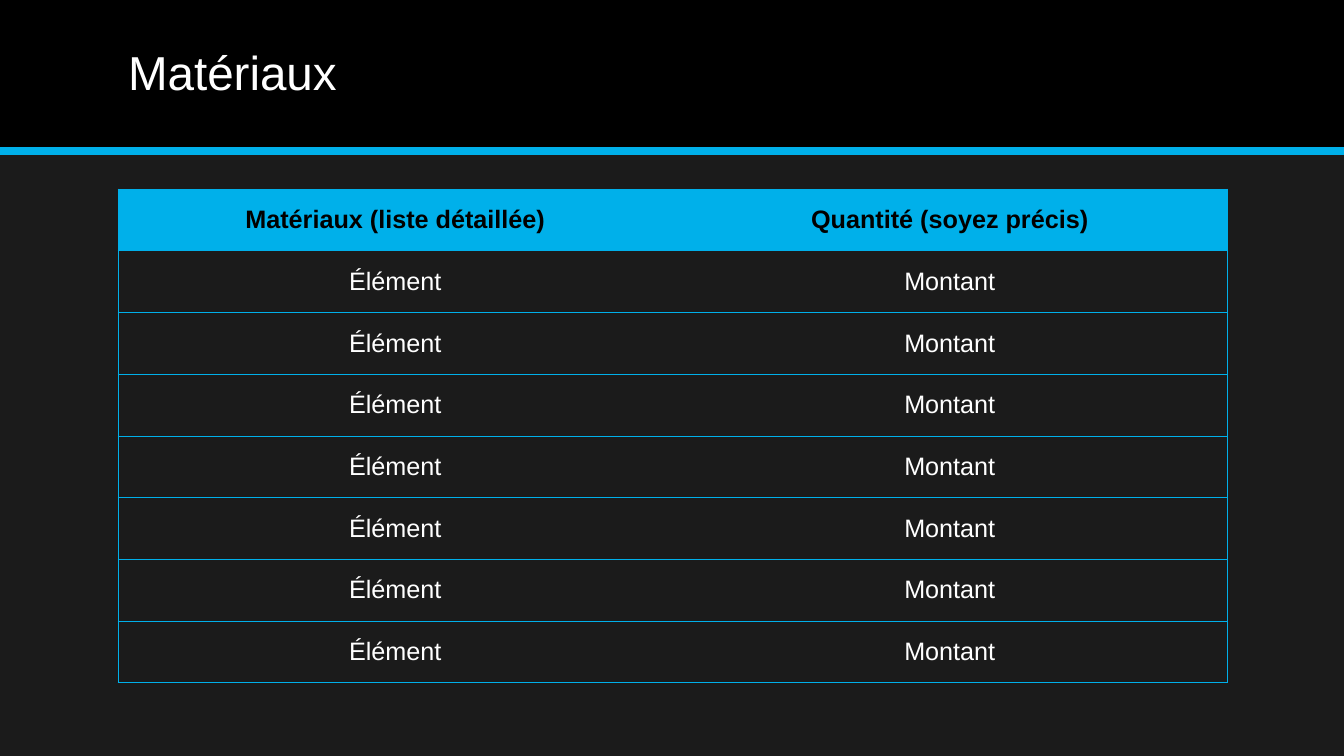
from dataclasses import dataclass

from lxml import etree
from pptx import Presentation
from pptx import util as u
from pptx.dml.color import RGBColor
from pptx.enum import shapes, text
from pptx.oxml.ns import qn


@dataclass(frozen=True)
class Theme:
    background: str = "1B1B1B"
    band: str = "000000"
    accent: str = "00B0EA"
    light: str = "FFFFFF"
    dark: str = "000000"
    font: str = "Arial"
    title_size: int = 34
    table_size: int = 18
    rule_width: float = 6
    border_width: float = 0.5


@dataclass(frozen=True)
class Box:
    left: float
    top: float
    width: float
    height: float

    def lengths(self):
        return [u.Inches(n) for n in (self.left, self.top, self.width, self.height)]


THEME = Theme()
WIDTH, HEIGHT = 13.33, 7.5
MARGIN = 1.17
CONTENT_WIDTH = 11
HEADINGS = ("Matériaux (liste détaillée)", "Quantité (soyez précis)")
ROWS = [HEADINGS] + [("Élément", "Montant")] * 7


def color(value):
    return RGBColor.from_string(value)


def format_text(frame, size, ink, bold, alignment):
    for paragraph in frame.paragraphs:
        paragraph.alignment = alignment
        for run in paragraph.runs:
            run.font.name = THEME.font
            run.font.size = u.Pt(size)
            run.font.bold = bold
            run.font.color.rgb = color(ink)


def add_header(slide, box):
    # Dark band, placed behind the title
    title = slide.shapes.title
    band = slide.shapes.add_shape(shapes.MSO_SHAPE.RECTANGLE, *box.lengths())
    band.shadow.inherit = False
    band.fill.solid()
    band.fill.fore_color.rgb = color(THEME.band)
    band.line.fill.background()
    title.element.addprevious(band.element)

    # Accent rule along the lower edge
    left, top, width, height = box.lengths()
    rule = slide.shapes.add_connector(
        shapes.MSO_CONNECTOR.STRAIGHT, left, top + height, left + width, top + height)
    rule.line.color.rgb = color(THEME.accent)
    rule.line.width = u.Pt(THEME.rule_width)
    etree.SubElement(rule.element.spPr, qn("a:effectLst"))
    title.element.addprevious(rule.element)

    # Title
    title_height = 0.8 * box.height
    title_box = Box(box.left + MARGIN, box.top + 0.14, CONTENT_WIDTH, title_height)
    title.left, title.top, title.width, title.height = title_box.lengths()
    frame = title.text_frame
    frame.text = "Matériaux"
    frame.auto_size = text.MSO_AUTO_SIZE.NONE
    frame.vertical_anchor = text.MSO_ANCHOR.MIDDLE
    frame.paragraphs[0].line_spacing = 0.9
    format_text(frame, THEME.title_size, THEME.light, False, text.PP_ALIGN.LEFT)


def set_borders(cell, visible_sides):
    properties = cell._tc.get_or_add_tcPr()
    for side in "LRTB":
        line = etree.SubElement(properties, qn(f"a:ln{side}"),
                                w=str(u.Pt(THEME.border_width)))
        if side in visible_sides:
            fill = etree.SubElement(line, qn("a:solidFill"))
            etree.SubElement(fill, qn("a:srgbClr"), val=THEME.accent)
        else:
            etree.SubElement(line, qn("a:noFill"))


def add_materials_table(slide, box):
    column_count = len(HEADINGS)
    table = slide.shapes.add_table(len(ROWS), column_count, *box.lengths()).table
    table.horz_banding = False
    for column in table.columns:
        column.width = u.Inches(box.width / column_count)
    for row in table.rows:
        row.height = u.Inches(box.height / len(ROWS))

    for row_index, values in enumerate(ROWS):
        is_heading = row_index == 0
        for column_index, value in enumerate(values):
            cell = table.cell(row_index, column_index)
            cell.text_frame.text = value
            cell.vertical_anchor = text.MSO_ANCHOR.MIDDLE
            format_text(cell.text_frame, THEME.table_size,
                        THEME.dark if is_heading else THEME.light,
                        is_heading, text.PP_ALIGN.CENTER)
            # Rules between rows and around the table, none between columns
            outer_side = "L" if column_index == 0 else "R"
            set_borders(cell, "TB" + outer_side)
            if is_heading:
                cell.fill.solid()
                cell.fill.fore_color.rgb = color(THEME.accent)
            else:
                cell.fill.background()


def main():
    presentation = Presentation()
    presentation.slide_width = u.Inches(WIDTH)
    presentation.slide_height = u.Inches(HEIGHT)
    slide = presentation.slides.add_slide(presentation.slide_layouts.get_by_name("Title Only"))
    slide.background.fill.solid()
    slide.background.fill.fore_color.rgb = color(THEME.background)
    add_header(slide, Box(0, 0, WIDTH, HEIGHT / 5))
    add_materials_table(slide, Box(MARGIN, HEIGHT / 4, CONTENT_WIDTH, 4.9))
    presentation.save("out.pptx")


if __name__ == "__main__":
    main()
